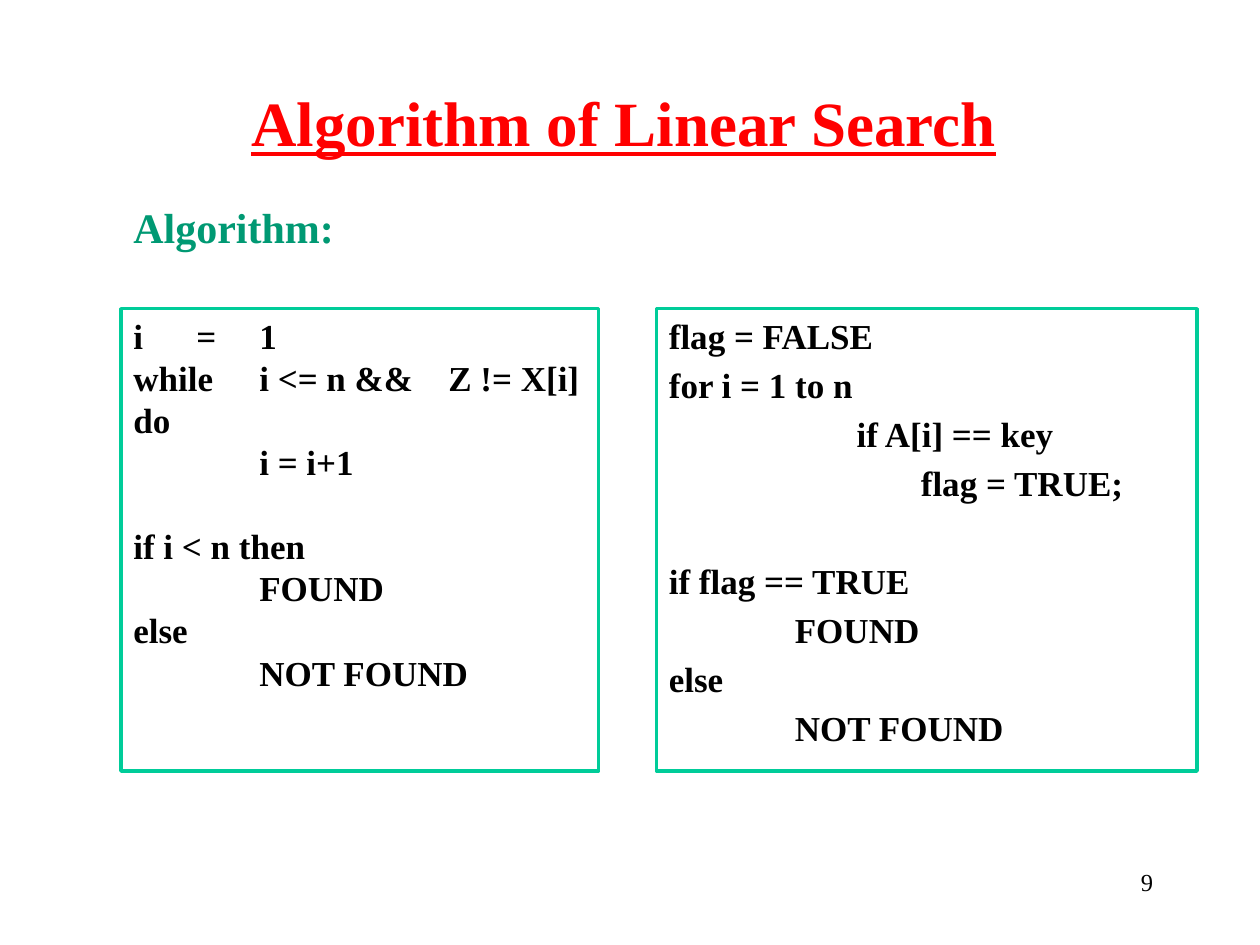
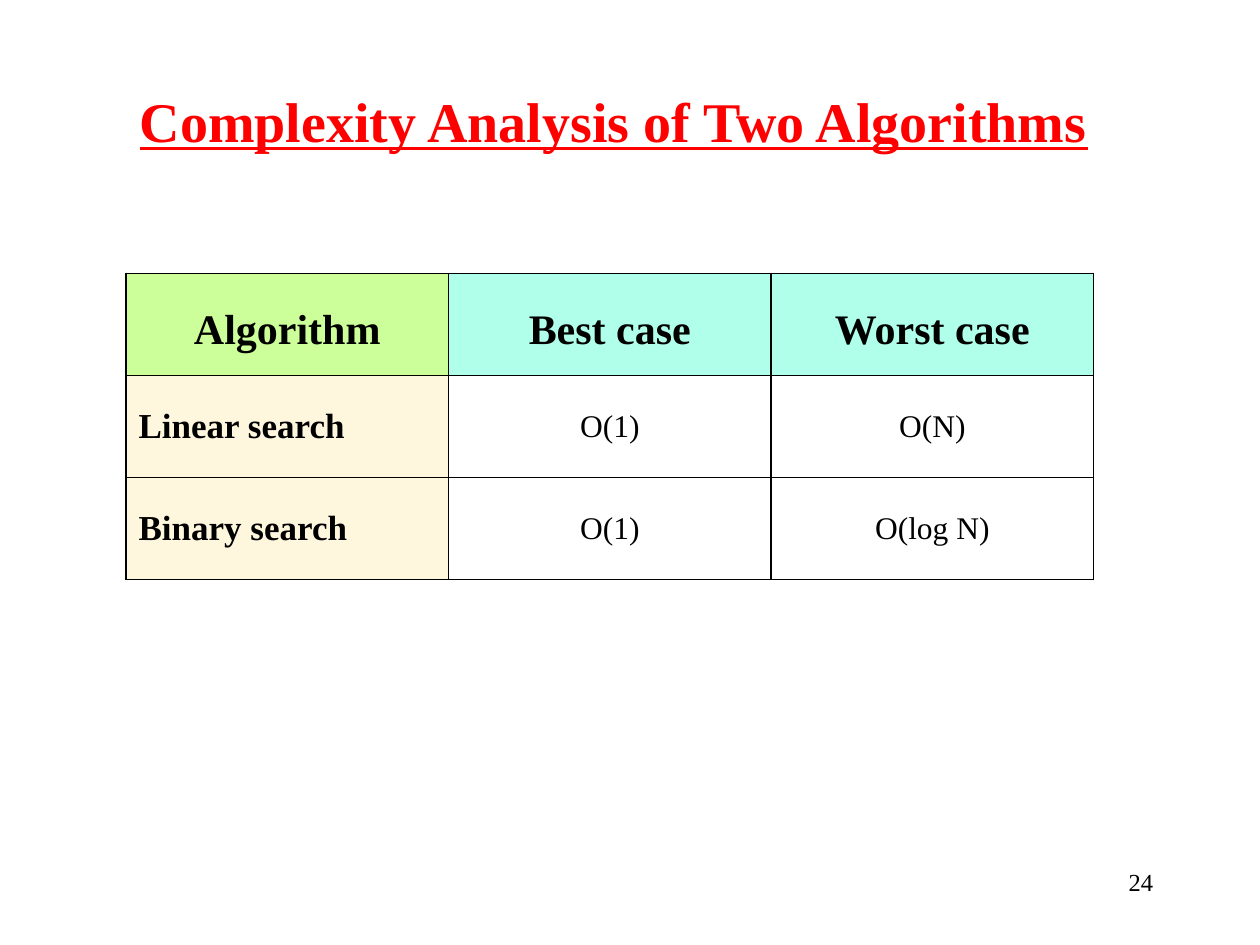
from dataclasses import dataclass

from lxml import etree
from pptx import Presentation
from pptx import util as u
from pptx.dml.color import RGBColor
from pptx.enum import shapes, text
from pptx.oxml import ns


@dataclass(frozen=True)
class Theme:
    font: str = "Times New Roman"
    black: str = "000000"
    white: str = "FFFFFF"
    title: str = "FF0000"
    heading: str = "009973"
    frame: str = "00CC99"
    corner: str = "CCFF99"
    column_head: str = "AFFFEA"
    row_head: str = "FEF7DE"
    heading_size: int = 24
    code_size: int = 20
    value_size: int = 18
    number_size: int = 14


@dataclass(frozen=True)
class Box:
    left: float
    top: float
    width: float
    height: float

    def emu(self) -> list:
        return [u.Inches(n) for n in (self.left, self.top, self.width, self.height)]


@dataclass(frozen=True)
class Style:
    size: int
    color: str = "000000"
    bold: bool = False
    underline: bool = False
    align: text.PP_ALIGN = text.PP_ALIGN.LEFT


@dataclass(frozen=True)
class CodeLine:
    """One statement; indent and tab stops are in inches, gap in points."""
    words: str
    indent: float = 0
    gap: float = 0
    stops: tuple = ()
    wrapped: str = ""


THEME = Theme()
CENTER = text.PP_ALIGN.CENTER
NUMBER_BOX = Box(7.17, 6.83, 2.08, 0.5)
CODE = Style(THEME.code_size, bold=True)

WHILE_SEARCH = [
    CodeLine("i\t=\t1", stops=(0.35, 0.65)),
    CodeLine("while\ti <= n &&\tZ != X[i]", stops=(0.77, 2.13), wrapped="do"),
    CodeLine("i = i+1", indent=1),
    CodeLine("if i < n then", gap=24),
    CodeLine("FOUND", indent=1),
    CodeLine("else"),
    CodeLine("NOT FOUND", indent=1),
]
FLAG_SEARCH = [
    CodeLine("flag = FALSE"),
    CodeLine("for i = 1 to n", gap=4),
    CodeLine("if A[i] == key", indent=1.49, gap=4),
    CodeLine("flag = TRUE;", indent=2, gap=4),
    CodeLine("if flag == TRUE", gap=32),
    CodeLine("FOUND", indent=1, gap=4),
    CodeLine("else", gap=4),
    CodeLine("NOT FOUND", indent=1, gap=4),
]
COMPLEXITY = [
    ("Algorithm", "Best case", "Worst case"),
    ("Linear search", "O(1)", "O(N)"),
    ("Binary search", "O(1)", "O(log N)"),
]


def add_run(paragraph, words: str, style: Style) -> None:
    paragraph.alignment = style.align
    run = paragraph.add_run()
    run.text = words
    font = run.font
    font.name = THEME.font
    font.size = u.Pt(style.size)
    font.bold = style.bold
    font.underline = style.underline
    font.color.rgb = RGBColor.from_string(style.color)


def add_label(slide, box: Box, words: str, style: Style,
              anchor: text.MSO_ANCHOR = text.MSO_ANCHOR.TOP) -> None:
    frame = slide.shapes.add_textbox(*box.emu()).text_frame
    frame.word_wrap = True
    frame.vertical_anchor = anchor
    add_run(frame.paragraphs[0], words, style)


def start_slide(deck, title: str, title_box: Box, title_size: int, number: int):
    """Add a blank slide with its title and slide number."""
    slide = deck.slides.add_slide(deck.slide_layouts[6])
    add_label(slide, title_box, title,
              Style(title_size, THEME.title, True, True, CENTER),
              text.MSO_ANCHOR.MIDDLE)
    add_label(slide, NUMBER_BOX, str(number),
              Style(THEME.number_size, align=text.PP_ALIGN.RIGHT))
    return slide


def set_stops(paragraph, indent: float, stops: tuple) -> None:
    properties = paragraph._p.get_or_add_pPr()
    properties.set("marL", str(u.Inches(indent)))
    properties.set("indent", "0")
    if stops:
        tabs = etree.SubElement(properties, ns.qn("a:tabLst"))
        for stop in stops:
            etree.SubElement(tabs, ns.qn("a:tab"), pos=str(u.Inches(stop)), algn="l")


def add_code(slide, box: Box, lines: list[CodeLine]) -> None:
    panel = slide.shapes.add_shape(shapes.MSO_SHAPE.RECTANGLE, *box.emu())
    panel.shadow.inherit = False
    panel.fill.solid()
    panel.fill.fore_color.rgb = RGBColor.from_string(THEME.white)
    panel.line.color.rgb = RGBColor.from_string(THEME.frame)
    panel.line.width = u.Pt(2)
    frame = panel.text_frame
    frame.word_wrap = True
    frame.vertical_anchor = text.MSO_ANCHOR.TOP
    for index, line in enumerate(lines):
        paragraph = frame.add_paragraph() if index else frame.paragraphs[0]
        paragraph.space_before = u.Pt(line.gap)
        set_stops(paragraph, line.indent, line.stops)
        add_run(paragraph, line.words, CODE)
        if line.wrapped:
            paragraph.add_line_break()
            add_run(paragraph, line.wrapped, CODE)


def add_borders(cell) -> None:
    properties = cell._tc.get_or_add_tcPr()
    for index, side in enumerate(("lnL", "lnR", "lnT", "lnB")):
        border = etree.Element(ns.qn(f"a:{side}"), w=str(u.Pt(1)))
        fill = etree.SubElement(border, ns.qn("a:solidFill"))
        etree.SubElement(fill, ns.qn("a:srgbClr"), val=THEME.black)
        properties.insert(index, border)


def cell_look(row: int, column: int) -> tuple[Style, str]:
    """Give the text style and fill of a table cell."""
    if row == 0:
        fill = THEME.column_head if column else THEME.corner
        return Style(THEME.heading_size, bold=True, align=CENTER), fill
    if column == 0:
        return CODE, THEME.row_head
    return Style(THEME.value_size, align=CENTER), THEME.white


def add_complexity_table(slide, box: Box) -> None:
    table = slide.shapes.add_table(
        len(COMPLEXITY), len(COMPLEXITY[0]), *box.emu()).table
    table.first_row = table.horz_banding = False
    for row, entries in enumerate(COMPLEXITY):
        for column, words in enumerate(entries):
            cell = table.cell(row, column)
            style, fill = cell_look(row, column)
            cell.fill.solid()
            cell.fill.fore_color.rgb = RGBColor.from_string(fill)
            cell.margin_top = cell.margin_bottom = u.Inches(0.08)
            paragraph = cell.text_frame.paragraphs[0]
            if row == 0:
                paragraph.line_spacing = 1.5
            else:
                cell.vertical_anchor = text.MSO_ANCHOR.MIDDLE
            add_run(paragraph, words, style)
            add_borders(cell)


def main() -> None:
    deck = Presentation()
    deck.slide_width, deck.slide_height = u.Inches(10), u.Inches(7.5)

    search = start_slide(deck, "Algorithm of Linear Search",
                         Box(1, 0.42, 7.9, 1.09), 36, 9)
    add_label(search, Box(0.96, 1.55, 8.71, 0.51), "Algorithm:",
              Style(THEME.heading_size, THEME.heading, True))
    add_code(search, Box(0.96, 2.45, 3.79, 3.67), WHILE_SEARCH)
    add_code(search, Box(5.21, 2.45, 4.29, 3.67), FLAG_SEARCH)

    analysis = start_slide(deck, "Complexity Analysis of Two Algorithms",
                           Box(0.83, 0.5, 8.08, 0.9), 32, 24)
    add_complexity_table(analysis, Box(1, 2.17, 7.68, 2.43))

    deck.save("out.pptx")


if __name__ == "__main__":
    main()
